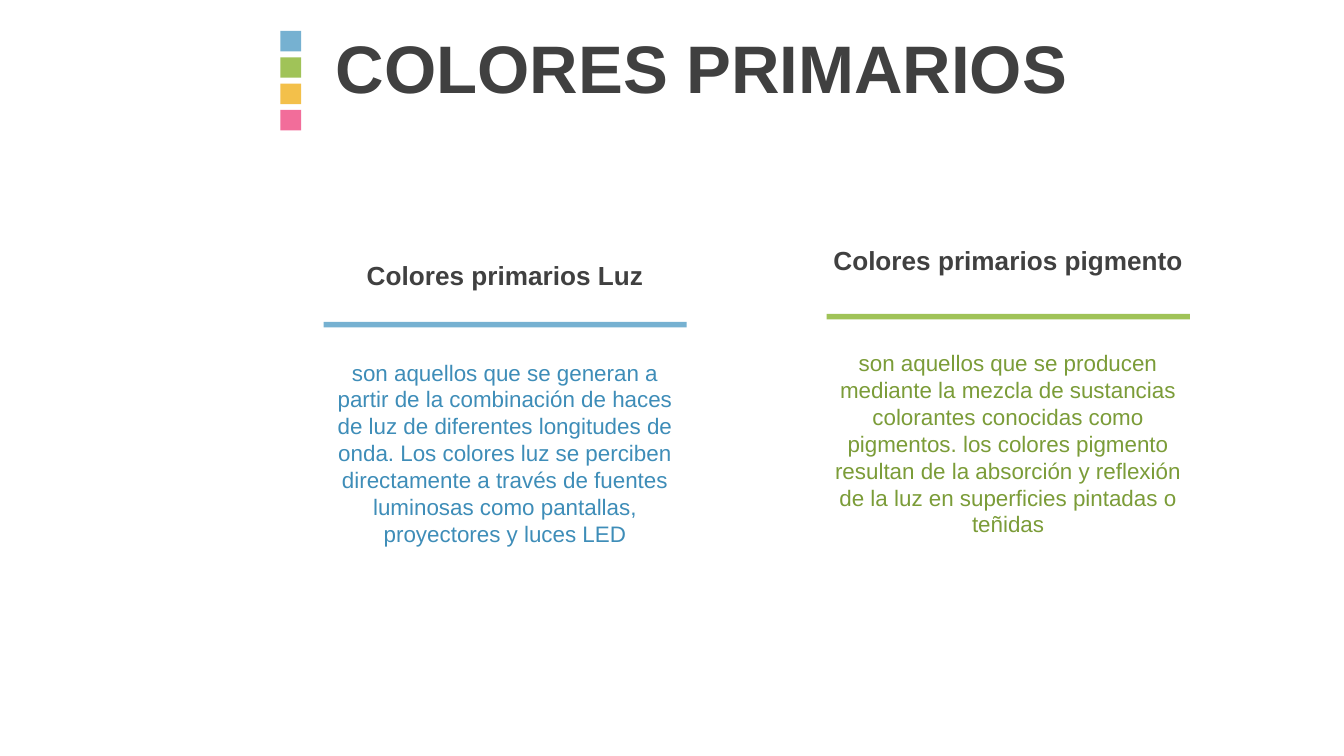
import pptx
import pptx.util
import pptx.dml.color
import pptx.enum.shapes
import pptx.enum.text

Pt = pptx.util.Pt
ANCHOR = pptx.enum.text.MSO_ANCHOR
ALIGN = pptx.enum.text.PP_ALIGN

COLORS = {
    "white": "FFFFFF",
    "dark": "404040",
    "blue": "76B1D1",
    "green": "A0C358",
    "yellow": "F3C04A",
    "pink": "F26D9A",
    "blue_text": "3E8DB8",
    "green_text": "7B9C38",
}


def rgb(name):
    return pptx.dml.color.RGBColor.from_string(COLORS[name])


def add_text(slide, text, left, top, width, height, *, size, color,
             bold=False, align=ALIGN.LEFT, anchor=ANCHOR.TOP):
    shape = slide.shapes.add_textbox(Pt(left), Pt(top), Pt(width), Pt(height))
    frame = shape.text_frame
    frame.word_wrap = True
    frame.vertical_anchor = anchor
    paragraph = frame.paragraphs[0]
    paragraph.text = text
    paragraph.alignment = align
    font = paragraph.runs[0].font
    font.name = "Arial"
    font.size = Pt(size)
    font.bold = bold
    font.color.rgb = rgb(color)


def add_bar(slide, left, top, width, height, color):
    shape = slide.shapes.add_shape(
        pptx.enum.shapes.MSO_SHAPE.RECTANGLE,
        Pt(left), Pt(top), Pt(width), Pt(height))
    shape.shadow.inherit = False
    shape.fill.solid()
    shape.fill.fore_color.rgb = rgb(color)
    shape.line.fill.background()


def add_header(slide, left, top, width, title):
    for index, color in enumerate(["blue", "green", "yellow", "pink"]):
        add_bar(slide, left, top + index * 14.1, 11.2, 11, color)
    title_offset = 22.6
    add_text(slide, title, left + title_offset, top - 2.2, width - title_offset, 42.5,
             size=36, color="dark", bold=True, anchor=ANCHOR.MIDDLE)


def add_column(slide, left, top, width, height, heading, body, color,
               heading_height, rule_offset, body_offset):
    rule_inset = 6
    add_text(slide, heading, left, top, width, heading_height, size=14,
             color="dark", bold=True, align=ALIGN.CENTER, anchor=ANCHOR.MIDDLE)
    add_text(slide, body, left, top + body_offset, width, height - body_offset,
             size=12, color=f"{color}_text", align=ALIGN.CENTER)
    add_bar(slide, left + rule_inset, top + rule_offset,
            width - 2 * rule_inset, 2.9, color)


def main():
    presentation = pptx.Presentation()
    presentation.slide_width = Pt(720)
    presentation.slide_height = Pt(405)
    slide = presentation.slides.add_slide(presentation.slide_layouts[6])
    slide.background.fill.solid()
    slide.background.fill.fore_color.rgb = rgb("white")

    add_header(slide, 150.2, 16.6, 453.2, "COLORES PRIMARIOS")
    add_column(
        slide, 167.3, 137.5, 206.6, 206.7, "Colores primarios Luz",
        "son aquellos que se generan a partir de la combinación de haces de luz "
        "de diferentes longitudes de onda. Los colores luz se perciben "
        "directamente a través de fuentes luminosas como pantallas, "
        "proyectores y luces LED",
        "blue", heading_height=19.4, rule_offset=35, body_offset=51.1)
    add_column(
        slide, 436.8, 128.9, 206.6, 221, "Colores primarios pigmento",
        "son aquellos que se producen mediante la mezcla de sustancias "
        "colorantes conocidas como pigmentos. los colores pigmento resultan "
        "de la absorción y reflexión de la luz en superficies pintadas o teñidas",
        "green", heading_height=20.9, rule_offset=39.3, body_offset=54.7)
    presentation.save("out.pptx")


if __name__ == "__main__":
    main()
